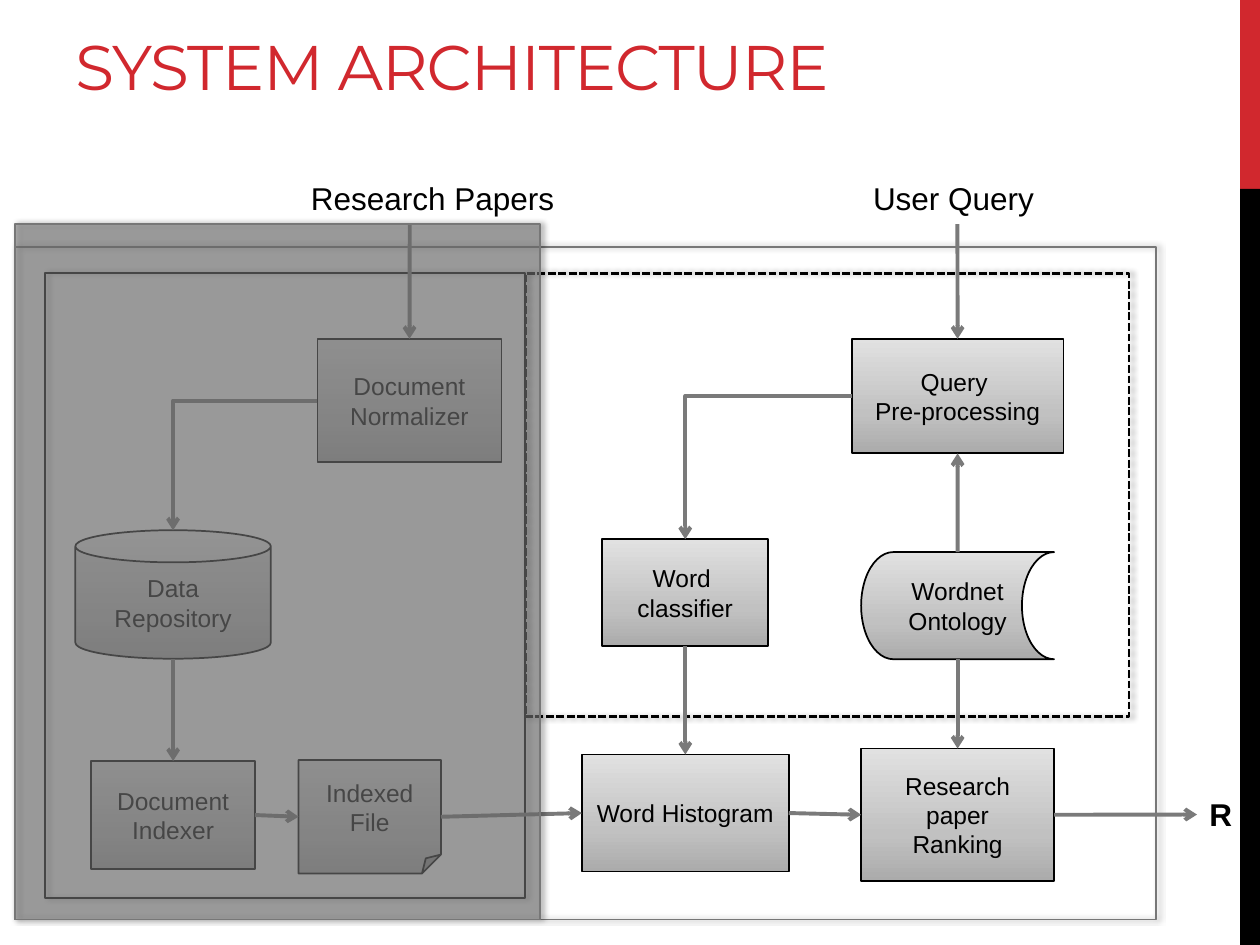
from copy import deepcopy
from dataclasses import dataclass
from typing import Optional

from lxml.etree import SubElement
from pptx import Presentation
from pptx.dml.color import RGBColor
from pptx.enum.dml import MSO_LINE
from pptx.enum.shapes import MSO_CONNECTOR, MSO_SHAPE
from pptx.enum.text import MSO_ANCHOR, MSO_AUTO_SIZE, PP_ALIGN
from pptx.oxml.ns import qn
from pptx.util import Cm, Pt

COLORS = {
    "red": "D1282E",
    "black": "000000",
    "frame": "777777",
    "arrow": "7A7A7A",
    "node_dark": "ABABAB",
    "node_middle": "C1C1C1",
    "node_light": "E1E1E1",
}
NODE_STOPS = [(0, "node_dark"), (0.35, "node_middle"), (1, "node_light")]
TOP, LEFT, BOTTOM, RIGHT = range(4)
INPUT_TOP = 4.52


@dataclass
class Box:
    left: float
    top: float
    width: float
    height: float

    def lengths(self):
        return [Cm(v) for v in (self.left, self.top, self.width, self.height)]

    def side(self, index: int) -> tuple:
        """Middle of a side, in centimetres."""
        middle_x = self.left + self.width / 2
        middle_y = self.top + self.height / 2
        return [(middle_x, self.top), (self.left, middle_y),
                (middle_x, self.top + self.height),
                (self.left + self.width, middle_y)][index]


@dataclass
class Node:
    box: Box
    lines: list
    preset: MSO_SHAPE = MSO_SHAPE.RECTANGLE


@dataclass
class Flow:
    """An arrow between node sides; a free end is a point with no node."""
    source: Optional[str]
    source_side: int
    target: Optional[str]
    target_side: int
    point: tuple = (0, 0)
    bent: bool = False


@dataclass
class Label:
    box: Box
    text: str
    bold: bool = False


NODES = {
    "normalizer": Node(Box(6.4, 6.83, 3.71, 2.49), ["Document", "Normalizer"]),
    "repository": Node(Box(1.52, 10.69, 3.94, 2.59), ["Data", "Repository"], MSO_SHAPE.CAN),
    "indexer": Node(Box(1.84, 15.34, 3.3, 2.18), ["Document", "Indexer"]),
    "query": Node(Box(17.17, 6.83, 4.27, 2.31), ["Query ", "Pre-processing"]),
    "classifier": Node(Box(12.14, 10.87, 3.35, 2.16), ["Word ", "classifier"]),
    "histogram": Node(Box(11.73, 15.21, 4.17, 2.36), ["Word Histogram"]),
    "ranking": Node(Box(17.36, 15.09, 3.89, 2.67), ["Research paper", "Ranking"]),
    "ontology": Node(Box(17.36, 11.13, 3.89, 2.16), ["Wordnet", "Ontology"],
                     MSO_SHAPE.FLOWCHART_STORED_DATA),
    "file": Node(Box(6.02, 15.32, 2.87, 2.29), ["Indexed", "File"], MSO_SHAPE.FOLDED_CORNER),
}
FLOWS = [
    Flow("normalizer", LEFT, "repository", TOP, bent=True),
    Flow("repository", BOTTOM, "indexer", TOP),
    Flow("indexer", RIGHT, "file", LEFT),
    Flow("file", RIGHT, "histogram", LEFT),
    Flow("histogram", RIGHT, "ranking", LEFT),
    Flow("classifier", BOTTOM, "histogram", TOP),
    Flow("query", LEFT, "classifier", TOP, bent=True),
    Flow("ontology", TOP, "query", BOTTOM),
    Flow("ontology", BOTTOM, "ranking", TOP),
    Flow("ranking", RIGHT, None, LEFT, point=(24.13, 16.42)),
    Flow(None, BOTTOM, "normalizer", TOP, point=(8.26, INPUT_TOP)),
    Flow(None, BOTTOM, "query", TOP, point=(19.3, INPUT_TOP)),
]
LABELS = [
    Label(Box(24.13, 15.9, 0.97, 1.02), "R", bold=True),
    Label(Box(6.02, 3.48, 5.46, 1.02), "Research Papers"),
    Label(Box(17.35, 3.48, 3.78, 1.02), "User Query"),
]


def rgb(name: str) -> RGBColor:
    return RGBColor.from_string(COLORS[name])


def add_run(paragraph, text: str, size: float, color="black", font="Arial", bold=False):
    run = paragraph.add_run()
    run.text = text
    run.font.size, run.font.name, run.font.bold = Pt(size), font, bold
    run.font.color.rgb = rgb(color)
    return run


def add_bar(slide, box: Box, color: str) -> None:
    shape = slide.shapes.add_shape(MSO_SHAPE.RECTANGLE, *box.lengths())
    shape.shadow.inherit = False
    shape.fill.solid()
    shape.fill.fore_color.rgb = rgb(color)
    shape.line.fill.background()


def add_frame(slide, box: Box, color: str, width=1.0, dash=None, opacity=0) -> None:
    """Outlined area with a soft shadow; opacity in percent tints it grey."""
    shape = slide.shapes.add_shape(MSO_SHAPE.RECTANGLE, *box.lengths())
    shape.fill.background()
    if opacity:
        shape.fill.solid()
        shape.fill.fore_color.rgb = rgb("arrow")
        fill_color = shape.element.spPr.find(qn("a:solidFill"))[0]
        SubElement(fill_color, qn("a:alpha"), val=str(opacity * 1000))
    shape.line.color.rgb = rgb(color)
    shape.line.width = Pt(width)
    if dash:
        shape.line.dash_style = dash
    shape.shadow.inherit = False
    effects = shape.element.spPr.find(qn("a:effectLst"))
    shadow = SubElement(effects, qn("a:outerShdw"), blurRad=str(Pt(3.1)),
                        dist=str(Pt(1.8)), dir="0", rotWithShape="0")
    shadow_color = SubElement(shadow, qn("a:srgbClr"), val=COLORS["black"])
    SubElement(shadow_color, qn("a:alpha"), val="40000")


def add_node(slide, node: Node):
    shape = slide.shapes.add_shape(node.preset, *node.box.lengths())
    shape.shadow.inherit = False
    shape.fill.gradient()
    shape.fill.gradient_angle = 90
    stop_list = shape.element.spPr.find(".//" + qn("a:gsLst"))
    stop_list.append(deepcopy(stop_list[0]))
    for stop, (position, color) in zip(shape.fill.gradient_stops, NODE_STOPS):
        stop.position = position
        stop.color.rgb = rgb(color)
    shape.line.color.rgb = rgb("black")
    shape.line.width = Pt(1)
    frame = shape.text_frame
    frame.vertical_anchor = MSO_ANCHOR.MIDDLE
    for index, line in enumerate(node.lines):
        paragraph = frame.add_paragraph() if index else frame.paragraphs[0]
        paragraph.alignment = PP_ALIGN.CENTER
        add_run(paragraph, line, 14)
    return shape


def add_flow(slide, flow: Flow, shapes: dict) -> None:
    start = NODES[flow.source].box.side(flow.source_side) if flow.source else flow.point
    end = NODES[flow.target].box.side(flow.target_side) if flow.target else flow.point
    kind = MSO_CONNECTOR.ELBOW if flow.bent else MSO_CONNECTOR.STRAIGHT
    connector = slide.shapes.add_connector(kind, *[Cm(v) for v in start + end])
    properties = connector.element.spPr
    if flow.bent:
        properties.find(qn("a:prstGeom")).set("prst", "bentConnector2")
    else:
        # A can numbers its connection sites differently, so it stays unglued.
        if flow.source and NODES[flow.source].preset != MSO_SHAPE.CAN:
            connector.begin_connect(shapes[flow.source], flow.source_side)
        if flow.target:
            connector.end_connect(shapes[flow.target], flow.target_side)
    connector.line.color.rgb = rgb("arrow")
    connector.line.width = Pt(2.25)
    SubElement(properties.find(qn("a:ln")), qn("a:tailEnd"), type="arrow")
    SubElement(properties, qn("a:effectLst"))


def add_label(slide, label: Label) -> None:
    frame = slide.shapes.add_textbox(*label.box.lengths()).text_frame
    frame.word_wrap = False
    frame.auto_size = MSO_AUTO_SIZE.SHAPE_TO_FIT_TEXT
    add_run(frame.paragraphs[0], label.text, 18, bold=label.bold)


def add_title(slide, box: Box, text: str) -> None:
    frame = slide.shapes.add_textbox(*box.lengths()).text_frame
    frame.word_wrap = True
    run = add_run(frame.paragraphs[0], text, 36, "red", "Montserrat")
    run.font._element.set("spc", "-60")


def main() -> None:
    presentation = Presentation()
    presentation.slide_width, presentation.slide_height = Cm(25.4), Cm(19.05)
    slide = presentation.slides.add_slide(presentation.slide_layouts[6])
    add_bar(slide, Box(25, 0, 0.4, 3.81), "red")
    add_bar(slide, Box(25, 3.81, 0.4, 15.24), "black")
    add_title(slide, Box(1.27, 0.43, 20.98, 2.11), "SYSTEM ARCHITECTURE")
    add_frame(slide, Box(0.3, 4.98, 23.01, 13.56), "frame")
    add_frame(slide, Box(10.59, 5.51, 12.17, 8.94), "black", 1.5, MSO_LINE.SQUARE_DOT)
    add_frame(slide, Box(0.91, 5.51, 9.68, 12.6), "black")
    shapes = {name: add_node(slide, node) for name, node in NODES.items()}
    for flow in FLOWS:
        add_flow(slide, flow, shapes)
    for label in LABELS:
        add_label(slide, label)
    add_frame(slide, Box(0.3, INPUT_TOP, 10.59, 14.02), "frame", opacity=58)
    presentation.save("out.pptx")


if __name__ == "__main__":
    main()
